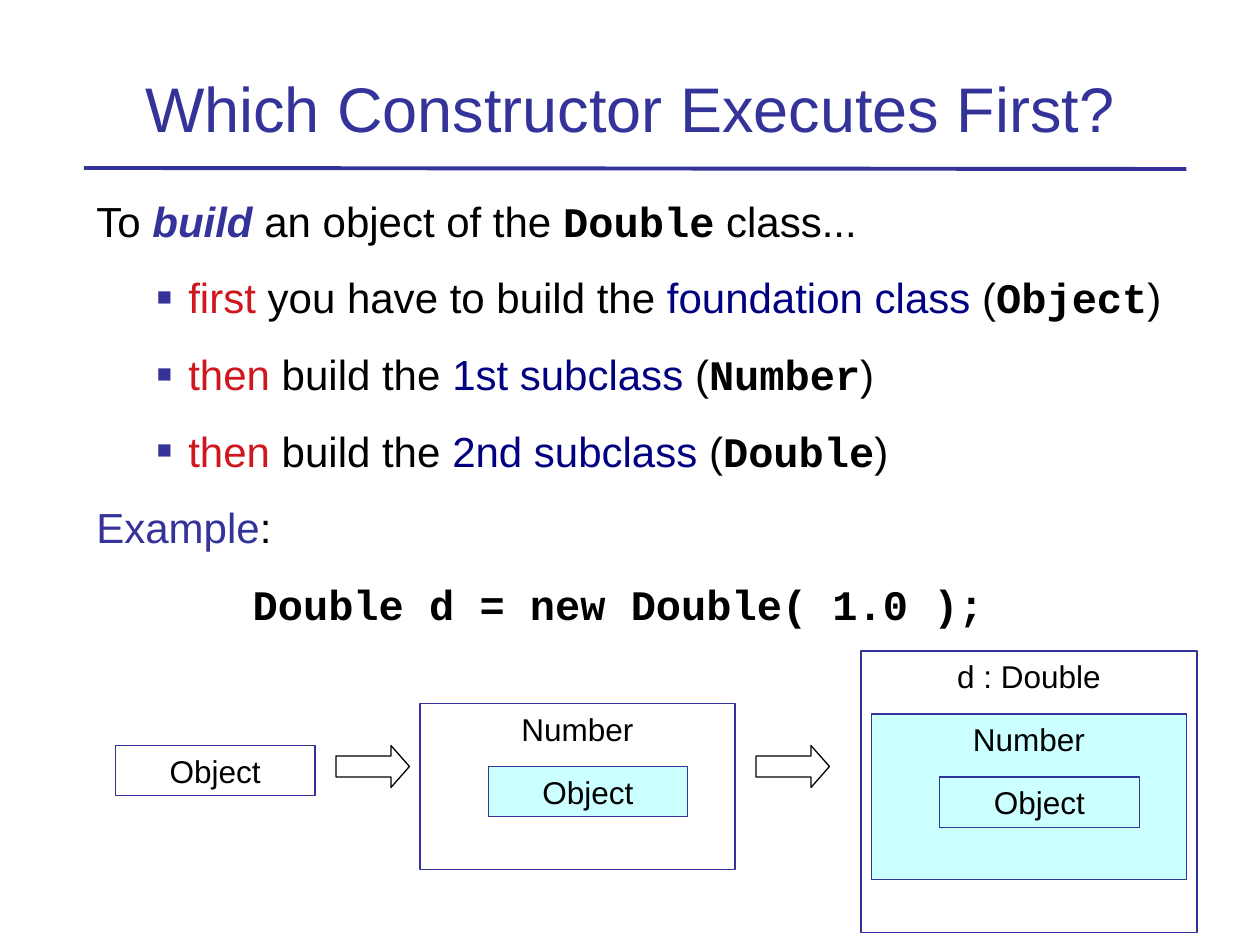
from lxml.etree import SubElement
from pptx import Presentation
from pptx.dml.color import RGBColor
from pptx.enum.shapes import MSO_CONNECTOR, MSO_SHAPE
from pptx.enum.text import MSO_ANCHOR, PP_ALIGN
from pptx.oxml.ns import qn
from pptx.util import Inches, Pt

COLORS = {"indigo": "333399", "black": "000000", "red": "CE181E",
          "navy": "000080", "cyan": "CCFFFF"}
# Each run style: colour, font, bold, italic
STYLES = {
    "plain": ("black", "Arial", False, False),
    "title": ("indigo", "Arial", False, False),
    "emphasis": ("indigo", "Arial", True, True),
    "order": ("red", "Arial", False, False),
    "term": ("navy", "Arial", False, False),
    "code": ("black", "Courier New", True, False),
}
CELL = Inches(1) / 12  # the slide is a grid of 120 columns by 90 rows


def grid(*cells):
    return [round(cell * CELL) for cell in cells]


def write(frame, runs, size=24, align=PP_ALIGN.LEFT, before=0,
          margin=0, indent=0, bullet=None):
    """Fill the empty first paragraph of the frame, or add one after it."""
    paragraph = frame.paragraphs[0]
    if paragraph.runs:
        paragraph = frame.add_paragraph()
    paragraph.alignment = align
    paragraph.space_before = Pt(before)
    properties = paragraph._p.get_or_add_pPr()
    properties.set("marL", str(Inches(margin)))
    properties.set("indent", str(Inches(indent)))
    if bullet:
        color = SubElement(properties, qn("a:buClr"))
        SubElement(color, qn("a:srgbClr"), val=COLORS["indigo"])
        SubElement(properties, qn("a:buSzPct"), val="60000")
        SubElement(properties, qn("a:buFont"), typeface="Arial")
        SubElement(properties, qn("a:buChar"), char=bullet)
    else:
        SubElement(properties, qn("a:buNone"))
    for text, style in runs:
        run = paragraph.add_run()
        run.text = text
        run.font.size = Pt(size)
        color, run.font.name, run.font.bold, run.font.italic = STYLES[style]
        run.font.color.rgb = RGBColor.from_string(COLORS[color])


presentation = Presentation()
presentation.slide_width, presentation.slide_height = grid(120, 90)
slide = presentation.slides.add_slide(presentation.slide_layouts[5])
shapes = slide.shapes

# Title and the rule under it
rule = shapes.add_connector(MSO_CONNECTOR.STRAIGHT, *grid(8, 16, 113, 16.1))
rule.line.color.rgb = RGBColor.from_string(COLORS["indigo"])
rule.line.width = Pt(2.25)
SubElement(rule._element.spPr, qn("a:effectLst"))

title = shapes.title
title.left, title.top, title.width, title.height = grid(8, 3, 104, 11.4)
title.text_frame.vertical_anchor = MSO_ANCHOR.BOTTOM
write(title.text_frame, [("Which Constructor Executes First?", "title")],
      size=36, align=PP_ALIGN.CENTER)

# Explanation
body = shapes.add_textbox(*grid(8, 18, 105, 44.4)).text_frame
body.word_wrap = True
write(body, [("To ", "plain"), ("build", "emphasis"),
             (" an object of the ", "plain"), ("Double", "code"),
             (" class...", "plain")])
steps = [
    ("first", " you have to build the ", "foundation class", "Object"),
    ("then", " build the ", "1st subclass", "Number"),
    ("then", " build the ", "2nd subclass", "Double"),
]
for order, action, term, class_name in steps:
    write(body, [(order, "order"), (action, "plain"), (term, "term"),
                 (" (", "plain"), (class_name, "code"), (")", "plain")],
          before=15, margin=0.73, indent=-0.25, bullet="■")
write(body, [("Example", "title"), (":", "plain")], before=15)
write(body, [("Double d = new Double( 1.0 );", "code")],
      before=15, margin=1.24)

# Object diagrams, outer boxes before inner ones: label, column, row, fill
box_sizes = {"Object": (19, 4.8), "Number": (30, 15.8),
             "d : Double": (32, 26.8)}
boxes = [
    ("Object", 11, 71, None),
    ("Number", 40, 67, None),
    ("Object", 46.5, 73, "cyan"),
    ("d : Double", 82, 62, None),
    ("Number", 83, 68, "cyan"),
    ("Object", 89.5, 74, "cyan"),
]
for label, column, row, fill in boxes:
    box = shapes.add_shape(MSO_SHAPE.RECTANGLE,
                           *grid(column, row, *box_sizes[label]))
    box.shadow.inherit = False
    if fill:
        box.fill.solid()
        box.fill.fore_color.rgb = RGBColor.from_string(COLORS[fill])
    else:
        box.fill.background()
    box.line.color.rgb = RGBColor.from_string(COLORS["indigo"])
    box.line.width = Pt(0.75)
    box.text_frame.word_wrap = True
    box.text_frame.vertical_anchor = MSO_ANCHOR.TOP
    write(box.text_frame, [(label, "plain")], size=18, align=PP_ALIGN.CENTER)

for column in (32, 72):
    arrow = shapes.add_shape(MSO_SHAPE.RIGHT_ARROW, *grid(column, 71, 7, 4))
    arrow.adjustments[1] = 0.44
    arrow.shadow.inherit = False
    arrow.fill.background()
    arrow.line.color.rgb = RGBColor.from_string(COLORS["black"])
    arrow.line.width = Pt(0.75)

presentation.save("out.pptx")
